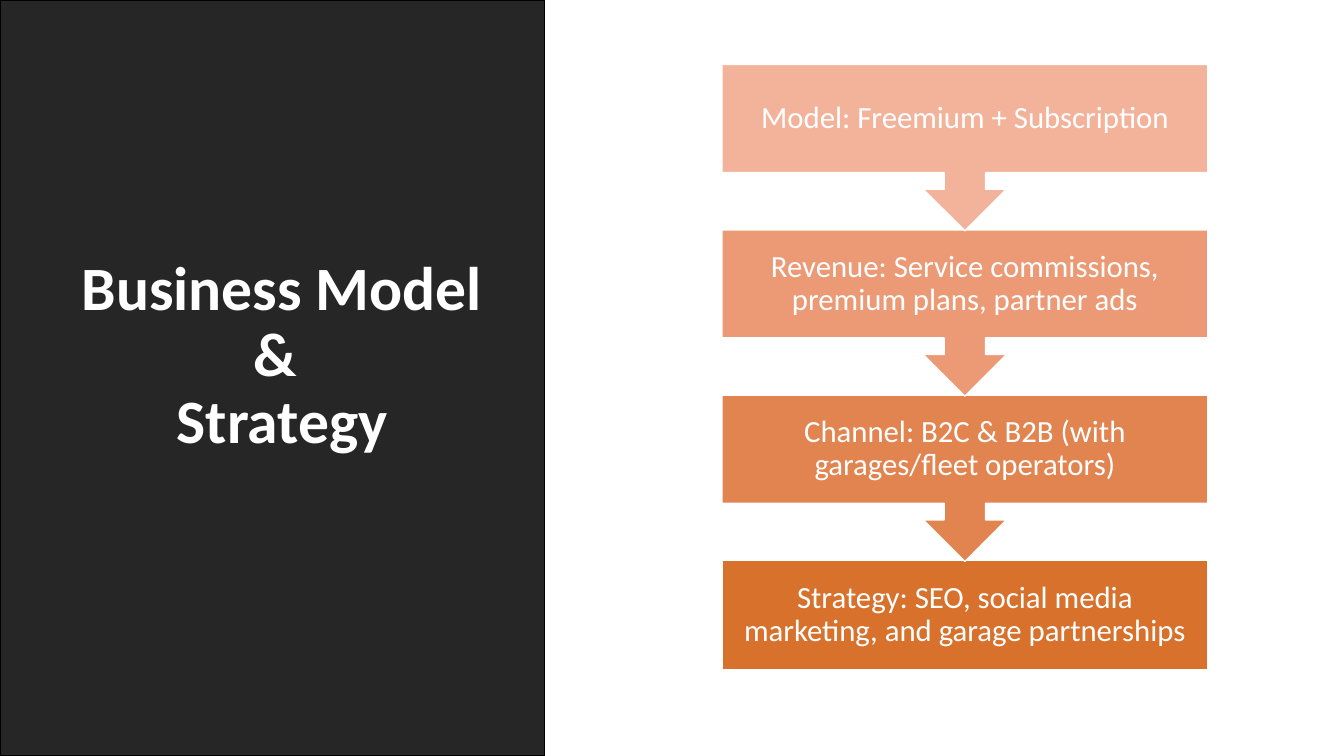
from pptx import Presentation
from pptx.dml.color import RGBColor
from pptx.enum.shapes import MSO_SHAPE
from pptx.enum.text import MSO_ANCHOR, PP_ALIGN
from pptx.util import Inches, Pt

WHITE = RGBColor(0xFF, 0xFF, 0xFF)
BLACK = RGBColor(0x00, 0x00, 0x00)
CHARCOAL = RGBColor(0x26, 0x26, 0x26)
PEACH = RGBColor(0xF3, 0xB3, 0x9B)
SALMON = RGBColor(0xEB, 0x9A, 0x75)
ORANGE = RGBColor(0xE2, 0x84, 0x50)
RUST = RGBColor(0xD7, 0x71, 0x2C)

TITLE = ["Business Model & ", "Strategy"]
STEPS = [
    ("Model: Freemium + Subscription", PEACH),
    ("Revenue: Service commissions, premium plans, partner ads", SALMON),
    ("Channel: B2C & B2B (with garages/fleet operators)", ORANGE),
    ("Strategy: SEO, social media marketing, and garage partnerships", RUST),
]
STEP_LEFT, STEP_TOP, STEP_WIDTH, STEP_PITCH = 7.16, 0.64, 4.82, 1.64
CALLOUT_HEIGHT, LAST_HEIGHT = 1.65, 1.08


class SlideBuilder:
    """Draws styled elements on the current slide."""

    title_font = {"name": "Calibri", "size": Pt(44), "bold": True}
    step_font = {"name": "Calibri", "size": Pt(22), "bold": False}
    paragraph_format = {"alignment": PP_ALIGN.CENTER, "line_spacing": 0.9}
    step_frame = {
        "word_wrap": True,
        "vertical_anchor": MSO_ANCHOR.MIDDLE,
        "margin_left": Inches(0.17),
        "margin_top": Inches(0.17),
        "margin_right": Inches(0.17),
        "margin_bottom": Inches(0.17),
    }
    title_frame = {"word_wrap": True, "vertical_anchor": MSO_ANCHOR.TOP}

    def __init__(self, slide):
        self.slide = slide

    def apply(self, target, values):
        for name, value in values.items():
            setattr(target, name, value)

    def fill_text(self, text_frame, lines, frame_format, font_format):
        self.apply(text_frame, frame_format)
        for index, line in enumerate(lines):
            paragraph = text_frame.add_paragraph() if index else text_frame.paragraphs[0]
            self.apply(paragraph, self.paragraph_format)
            run = paragraph.add_run()
            run.text = line
            self.apply(run.font, font_format)
            run.font.color.rgb = WHITE

    def block(self, preset, left, top, width, height, fill, outline):
        shape = self.slide.shapes.add_shape(
            preset, Inches(left), Inches(top), Inches(width), Inches(height)
        )
        shape.shadow.inherit = False
        shape.fill.solid()
        shape.fill.fore_color.rgb = fill
        shape.line.color.rgb = outline
        shape.line.width = Pt(1)
        return shape

    def title(self, left, top, width, height, lines):
        box = self.slide.shapes.add_textbox(
            Inches(left), Inches(top), Inches(width), Inches(height)
        )
        self.fill_text(box.text_frame, lines, self.title_frame, self.title_font)

    def step(self, preset, top, height, text, fill):
        shape = self.block(preset, STEP_LEFT, top, STEP_WIDTH, height, fill, WHITE)
        self.fill_text(shape.text_frame, [text], self.step_frame, self.step_font)


def main():
    presentation = Presentation()
    presentation.slide_width = Inches(13.33)
    presentation.slide_height = Inches(7.5)
    builder = SlideBuilder(presentation.slides.add_slide(presentation.slide_layouts[6]))

    builder.block(MSO_SHAPE.RECTANGLE, 0, 0, 5.4, 7.5, CHARCOAL, BLACK)
    builder.title(0.45, 2.5, 4.7, 0.95, TITLE)

    last = len(STEPS) - 1
    for index, (text, fill) in reversed(list(enumerate(STEPS))):
        preset = MSO_SHAPE.RECTANGLE if index == last else MSO_SHAPE.DOWN_ARROW_CALLOUT
        height = LAST_HEIGHT if index == last else CALLOUT_HEIGHT
        builder.step(preset, STEP_TOP + index * STEP_PITCH, height, text, fill)

    presentation.save("out.pptx")


if __name__ == "__main__":
    main()
